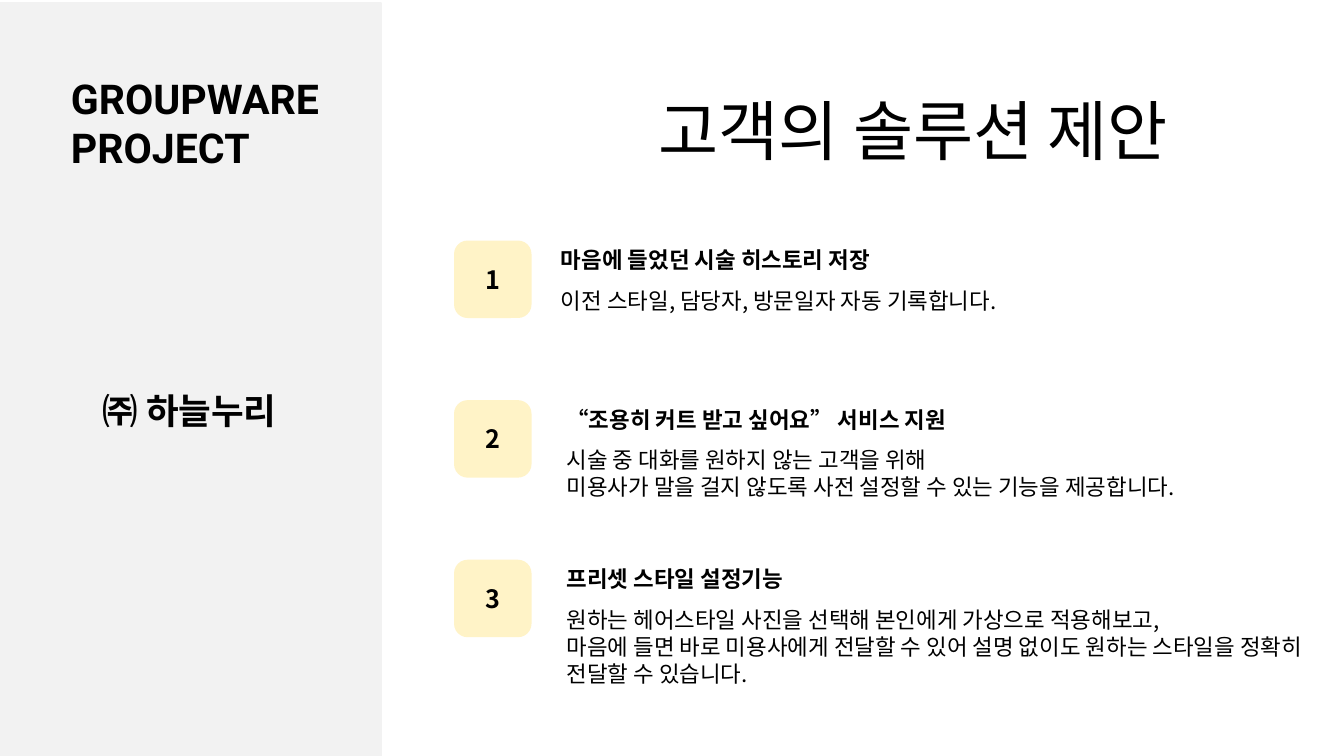
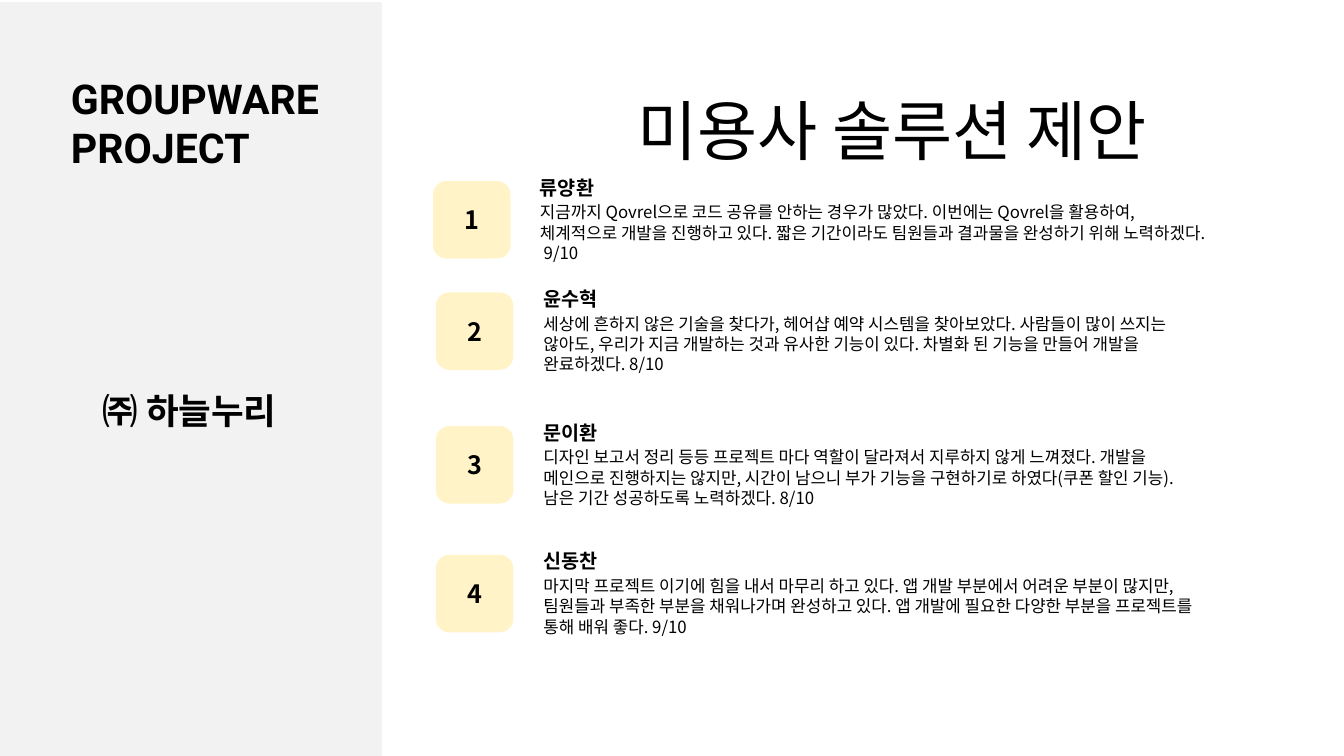
from dataclasses import dataclass

from lxml.etree import SubElement
from pptx import Presentation
from pptx.dml.color import RGBColor
from pptx.enum.shapes import MSO_SHAPE
from pptx.enum.text import MSO_ANCHOR, MSO_AUTO_SIZE, PP_ALIGN
from pptx.oxml.ns import qn
from pptx.util import Emu, Pt


@dataclass(frozen=True)
class Theme:
    """Colours, fonts and type sizes shared by the slides."""
    ink: str = "000000"
    panel: str = "F2F2F2"
    badge: str = "FFF3C7"
    body_font: str = "Noto Sans CJK KR"
    brand_font: str = "Roboto"
    company_font: str = "Calibri"
    title: int = 70
    brand: int = 44
    company: int = 38
    number: int = 27


@dataclass(frozen=True)
class ItemStyle:
    """Type sizes and offsets of an item's texts from the top of its badge."""
    heading: int
    body: int
    heading_dy: int
    body_dy: int
    heading_height: int
    line_height: int


THEME = Theme()
LARGE = ItemStyle(24, 24, 2, 60, 48, 39)
SMALL = ItemStyle(21, 18, -14, 24, 43, 29)
BADGE_SIZE = 108
TEXT_WIDTH = 964

CUSTOMER_ITEMS = [
    (650, 345, 142, TEXT_WIDTH, 1, "마음에 들었던 시술 히스토리 저장",
     "이전 스타일, 담당자, 방문일자 자동 기록합니다."),
    (650, 573, 150, 1088, 2, "“조용히 커트 받고 싶어요” 서비스 지원",
     "시술 중 대화를 원하지 않는 고객을 위해\n"
     "미용사가 말을 걸지 않도록 사전 설정할 수 있는 기능을 제공합니다."),
    (650, 801, 150, 1088, 3, "프리셋 스타일 설정기능",
     "원하는 헤어스타일 사진을 선택해 본인에게 가상으로 적용해보고,\n"
     "마음에 들면 바로 미용사에게 전달할 수 있어 설명 없이도 원하는 스타일을 "
     "정확히 전달할 수 있습니다."),
]
STYLIST_ITEMS = [
    (620, 260, 142, TEXT_WIDTH, 3, "류양환",
     "지금까지 Qovrel으로 코드 공유를 안하는 경우가 많았다. 이번에는 Qovrel을 활용하여, "
     "체계적으로 개발을 진행하고 있다. 짧은 기간이라도 팀원들과 결과물을 완성하기 위해 "
     "노력하겠다. 9/10"),
    (624, 419, 143, TEXT_WIDTH, 3, "윤수혁",
     "세상에 흔하지 않은 기술을 찾다가, 헤어샵 예약 시스템을 찾아보았다. 사람들이 많이 쓰지는 "
     "않아도, 우리가 지금 개발하는 것과 유사한 기능이 있다. 차별화 된 기능을 만들어 개발을 "
     "완료하겠다. 8/10"),
    (624, 610, 143, TEXT_WIDTH, 3, "문이환",
     "디자인 보고서 정리 등등 프로젝트 마다 역할이 달라져서 지루하지 않게 느껴졌다. 개발을 "
     "메인으로 진행하지는 않지만, 시간이 남으니 부가 기능을 구현하기로 하였다(쿠폰 할인 기능). "
     "남은 기간 성공하도록 노력하겠다. 8/10"),
    (624, 794, 143, TEXT_WIDTH, 3, "신동찬",
     "마지막 프로젝트 이기에 힘을 내서 마무리 하고 있다. 앱 개발 부분에서 어려운 부분이 많지만, "
     "팀원들과 부족한 부분을 채워나가며 완성하고 있다. 앱 개발에 필요한 다양한 부분을 "
     "프로젝트를 통해 배워 좋다. 9/10"),
]


def px(value):
    """Turn px into EMU."""
    return Emu(value * 9525)


def set_all(target, values):
    """Set each attribute named in a dict."""
    for name, value in values.items():
        setattr(target, name, value)


def write(s, lines, size, font=THEME.body_font, bold=False, frame=None, para=None):
    """Fill a shape with one formatted paragraph per line."""
    tf = s.text_frame
    set_all(tf, {"word_wrap": True, **(frame or {})})
    for i, line in enumerate(lines):
        p = tf.add_paragraph() if i else tf.paragraphs[0]
        p.text = line
        set_all(p, para or {})
        for r in p.runs:
            set_all(r.font, {"size": Pt(size), "name": font, "bold": bold})
            r.font.color.rgb = RGBColor.from_string(THEME.ink)
    for props in s.element.iter(qn("a:rPr")):
        SubElement(props, qn("a:ea"), typeface=THEME.body_font)


def add_box(slide, kind, box, color):
    """Add a preset shape whose fill and line share one colour."""
    s = slide.shapes.add_shape(kind, *map(px, box))
    s.shadow.inherit = False
    s.fill.solid()
    s.fill.fore_color.rgb = s.line.color.rgb = RGBColor.from_string(color)
    s.line.width = Pt(2)
    return s


def add_text(slide, box, lines, size, **style):
    """Add a wrapped text box."""
    s = slide.shapes.add_textbox(*map(px, box))
    write(s, lines, size, **style)
    return s


def add_sidebar(slide):
    """Draw the side panel and move it to the layout, which all slides share."""
    layout = slide.slide_layout
    for ph in list(layout.placeholders):
        if ph.placeholder_format.idx:
            ph.element.getparent().remove(ph.element)
    parts = [
        add_box(slide, MSO_SHAPE.RECTANGLE, (0, 4, 544, 1076), THEME.panel),
        add_text(slide, (92, 100, 380, 139), ["GROUPWARE", "PROJECT"], THEME.brand,
                 font=THEME.brand_font, bold=True,
                 para={"alignment": PP_ALIGN.JUSTIFY}),
        add_text(slide, (137, 509, 291, 123), ["㈜ 하늘누리"], THEME.company,
                 font=THEME.company_font, bold=True,
                 frame={"vertical_anchor": MSO_ANCHOR.MIDDLE},
                 para={"line_spacing": 1.5}),
    ]
    for s in parts:
        layout.shapes.element.append(s.element)


def set_title(slide, text, left):
    """Place and format the title placeholder."""
    s = slide.shapes.title
    set_all(s, {"left": px(left), "top": px(89), "width": px(1147), "height": px(136)})
    frame = {f"margin_{side}": 0 for side in ("left", "top", "right", "bottom")}
    frame.update(vertical_anchor=MSO_ANCHOR.TOP, auto_size=MSO_AUTO_SIZE.SHAPE_TO_FIT_TEXT)
    write(s, [text], THEME.title, frame=frame,
          para={"alignment": PP_ALIGN.CENTER, "line_spacing": Pt(114.3)})


def add_item(slide, number, item, style):
    """Add a numbered badge with its heading and description."""
    x, y, dx, body_width, line_count, heading, body = item
    s = add_box(slide, MSO_SHAPE.ROUNDED_RECTANGLE, (x, y, BADGE_SIZE, BADGE_SIZE), THEME.badge)
    write(s, [str(number)], THEME.number, bold=True,
          frame={"vertical_anchor": MSO_ANCHOR.MIDDLE},
          para={"alignment": PP_ALIGN.CENTER})
    grow = {"auto_size": MSO_AUTO_SIZE.SHAPE_TO_FIT_TEXT}
    add_text(slide, (x + dx, y + style.heading_dy, TEXT_WIDTH, style.heading_height),
             [heading], style.heading, bold=True, frame=grow)
    body_height = 10 + line_count * style.line_height
    add_text(slide, (x + dx, y + style.body_dy, body_width, body_height),
             [body], style.body, frame=grow)


def add_solution_slide(prs, title, title_left, items, style):
    """Add a titled slide of numbered items."""
    slide = prs.slides.add_slide(prs.slide_layouts[5])
    set_title(slide, title, title_left)
    if len(prs.slides) == 1:
        add_sidebar(slide)
    for number, item in enumerate(items, 1):
        add_item(slide, number, item, style)


def main():
    """Build and save the presentation."""
    prs = Presentation()
    set_all(prs, {"slide_width": px(1920), "slide_height": px(1080)})
    add_solution_slide(prs, "고객의 솔루션 제안", 731, CUSTOMER_ITEMS, LARGE)
    add_solution_slide(prs, "미용사 솔루션 제안", 701, STYLIST_ITEMS, SMALL)
    prs.save("out.pptx")


if __name__ == "__main__":
    main()
